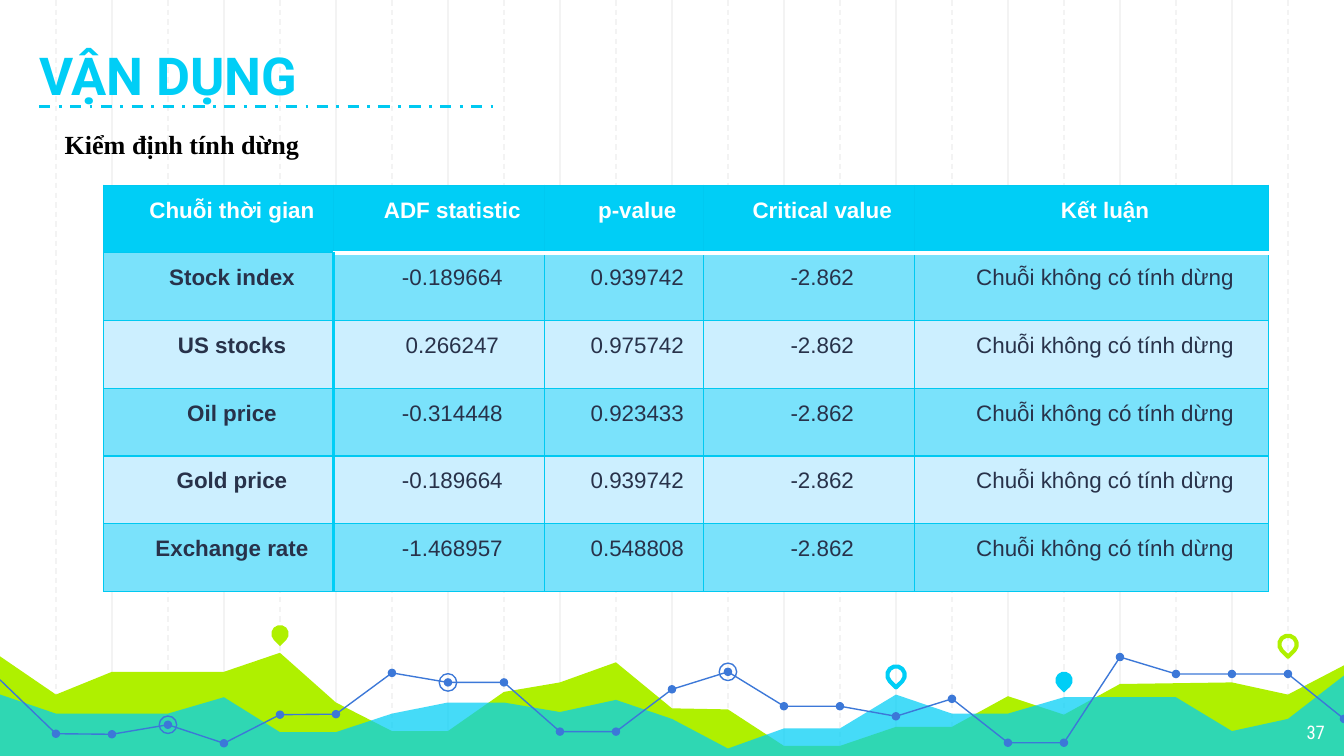
"""Build the stationarity test slide with its results table and chart-like footer."""
import lxml.etree
import pptx
import pptx.dml.color
import pptx.enum.dml
import pptx.enum.shapes
import pptx.enum.text
import pptx.oxml.ns
import pptx.util

Cm, Pt = pptx.util.Cm, pptx.util.Pt
qn = pptx.oxml.ns.qn
RGB = pptx.dml.color.RGBColor.from_string
SHAPE = pptx.enum.shapes.MSO_SHAPE
DASH = pptx.enum.dml.MSO_LINE
ALIGN = pptx.enum.text.PP_ALIGN
ANCHOR = pptx.enum.text.MSO_ANCHOR
AUTO_SIZE = pptx.enum.text.MSO_AUTO_SIZE

THEME = {
    "cyan": "00CEF6", "rule": "00C9F1", "lime": "AFF000", "blue": "3C78D8",
    "grid": "F3F3F3", "white": "FFFFFF", "ink": "28324A", "black": "000000",
    "band": "7AE2FB", "pale": "CCEFFF",
    "title": {"name": "Roboto", "size": Pt(28), "bold": True},
    "subtitle": {"name": "Times New Roman", "size": Pt(14), "bold": True},
    "number": {"name": "Roboto Condensed", "size": Pt(10), "bold": False},
    "strong": {"name": "Arial", "size": Pt(12), "bold": True},
    "body": {"name": "Arial", "size": Pt(12), "bold": False},
}
WIDTH, HEIGHT, COLUMNS = 25.4, 14.29, 24
STEP = WIDTH / COLUMNS


def paint(shape, fill=None, outline=None, weight=0.75):
    shape.shadow.inherit = False
    for part, color in ((shape.fill, fill), (shape.line.fill, outline)):
        if color:
            part.solid()
            part.fore_color.rgb = RGB(THEME[color])
        else:
            part.background()
    if outline:
        shape.line.width = Pt(weight)


def write(holder, paragraph, text, font, color, holder_format, paragraph_format):
    run = paragraph.add_run()
    run.text = text
    run.font.color.rgb = RGB(THEME[color])
    for target, values in ((holder, holder_format), (paragraph, paragraph_format), (run.font, THEME[font])):
        for name, value in values.items():
            setattr(target, name, value)


presentation = pptx.Presentation()
presentation.slide_width, presentation.slide_height = Cm(WIDTH), Cm(HEIGHT)
slide = presentation.slides.add_slide(presentation.slide_layouts[6])
shapes = slide.shapes

rules = [
    (STEP * i, 0, STEP * i, 14.35, "grid", 0.75, DASH.DASH if i % 2 else DASH.SOLID)
    for i in range(1, COLUMNS)
]
rules.append((0.74, 2.01, 9.42, 2.01, "rule", 1.5, DASH.DASH_DOT))
for left, top, right, bottom, color, weight, dash in rules:
    connector = shapes.add_connector(
        pptx.enum.shapes.MSO_CONNECTOR.STRAIGHT, Cm(left), Cm(top), Cm(right), Cm(bottom))
    connector.line.color.rgb = RGB(THEME[color])
    connector.line.width = Pt(weight)
    connector.line.dash_style = dash
    lxml.etree.SubElement(connector._element.spPr, qn("a:effectLst"))

lime_area = [
    (-0.05, 12.37), (1, 13.13), (2, 12.7), (4, 12.7), (5, 12.34), (6, 13.28), (7, 13.82),
    (8, 13.82), (9, 13.08), (10, 12.9), (11, 12.52), (12, 13.39), (13, 13.41), (14, 14.1),
    (15, 14.1), (16, 13.74), (17, 13.74), (18, 13.16), (19, 13.51), (20, 12.93), (22, 12.9),
    (23, 13.13), (24.05, 12.55), (24.05, 14.34), (-0.05, 14.34),
]
cyan_area = [
    (-0.05, 13.11), (1, 13.49), (3, 13.49), (4, 13.18), (5, 13.84), (6, 13.84), (7, 13.49),
    (8, 13.28), (9, 13.28), (10, 13.46), (11, 13.23), (12, 13.59), (13, 14.15), (14, 13.77),
    (15, 13.77), (16, 13.13), (17, 13.49), (18, 13.49), (19, 13.18), (21, 13.18), (22, 13.82),
    (23, 13.59), (24.05, 12.73), (24.05, 14.34), (-0.05, 14.34),
]
trend = list(enumerate([
    12.85, 13.87, 13.88, 13.7, 14.05, 13.51, 13.5, 12.72, 12.9, 12.9, 13.83, 13.83, 13.03,
    12.7, 13.35, 13.35, 13.54, 13.21, 14.04, 14.04, 12.42, 12.74, 12.74, 12.74, 13.59,
]))
outlines = [
    (lime_area, "lime", None), (cyan_area, "cyan", None),
    (trend[:12], None, "blue"), (trend[11:21], None, "blue"), (trend[20:], None, "blue"),
]
for points, fill, outline in outlines:
    corners = [(Cm(STEP * x), Cm(y)) for x, y in points]
    builder = shapes.build_freeform(*corners[0], scale=1.0)
    builder.add_line_segments(corners[1:], close=fill is not None)
    shape = builder.convert_to_shape()
    paint(shape, fill, outline)
    if points is cyan_area:
        color_element = shape._element.spPr.find(qn("a:solidFill"))[0]
        lxml.etree.SubElement(color_element, qn("a:alpha"), val="73000")

markers = [(SHAPE.OVAL, x, y, 0.16, "blue", None, 0.75) for x, y in trend[1:]]
markers += [(SHAPE.OVAL, *trend[i], 0.33, None, "blue", 0.75) for i in (3, 8, 13)]
markers += [
    (SHAPE.TEAR, 5, 11.98, 0.33, "lime", None, 0.75),
    (SHAPE.TEAR, 16, 12.76, 0.33, None, "cyan", 2.25),
    (SHAPE.TEAR, 19, 12.86, 0.33, "cyan", None, 0.75),
    (SHAPE.TEAR, 23, 12.18, 0.33, None, "lime", 2.25),
]
for kind, x, y, size, fill, outline, weight in markers:
    marker = shapes.add_shape(
        kind, Cm(STEP * x - size / 2), Cm(y - size / 2), Cm(size), Cm(size))
    paint(marker, fill, outline, weight)
    if kind == SHAPE.TEAR:
        marker.rotation = 135

MARGINS = ("margin_left", "margin_top", "margin_right", "margin_bottom")
texts = [
    ("37", (23.77, 13.41, 1.52, 0.89), "number", "white",
     dict.fromkeys(MARGINS, Cm(0.25)), {"alignment": ALIGN.RIGHT}),
    ("VẬN DỤNG", (0.74, 0.53, 16.33, 1.47), "title", "cyan",
     {**dict.fromkeys(MARGINS, 0), "vertical_anchor": ANCHOR.BOTTOM}, {}),
    ("Kiểm định tính dừng", (-0.3, 2.01, 12.83, 1.04), "subtitle", "black",
     {"auto_size": AUTO_SIZE.SHAPE_TO_FIT_TEXT},
     {"level": 1, "line_spacing": 1.5, "space_before": Pt(10)}),
]
for text, box, font, color, frame_format, paragraph_format in texts:
    frame = shapes.add_textbox(*map(Cm, box)).text_frame
    paragraph = frame.paragraphs[0]
    write(frame, paragraph, text, font, color, {"word_wrap": True, **frame_format}, paragraph_format)
    if font == "subtitle":
        paragraph._p.get_or_add_pPr().set("marL", str(Cm(1.27)))

verdict = "Chuỗi không có tính dừng"
rows = [
    ("Chuỗi thời gian", "ADF statistic", "p-value", "Critical value", "Kết luận"),
    ("Stock index", "-0.189664", "0.939742", "-2.862", verdict),
    ("US stocks", "0.266247", "0.975742", "-2.862", verdict),
    ("Oil price", "-0.314448", "0.923433", "-2.862", verdict),
    ("Gold price", "-0.189664", "0.939742", "-2.862", verdict),
    ("Exchange rate", "-1.468957", "0.548808", "-2.862", verdict),
]
column_widths, row_height = (4.34, 3.99, 3, 3.99, 6.7), 1.28
table = shapes.add_table(
    len(rows), len(column_widths), Cm(1.96), Cm(3.5),
    Cm(sum(column_widths)), Cm(row_height * len(rows))).table
for column, width in zip(table.columns, column_widths):
    column.width = Cm(width)
for row in table.rows:
    row.height = Cm(row_height)

cell_format = dict(zip(MARGINS, (Cm(0.1), 0, Cm(0.1), 0)))
for i, values in enumerate(rows):
    for j, text in enumerate(values):
        cell = table.cell(i, j)
        cell.fill.solid()
        cell.fill.fore_color.rgb = RGB(THEME["cyan" if i == 0 else "band" if i % 2 else "pale"])
        paragraph = cell.text_frame.paragraphs[0]
        write(
            cell, paragraph, text, "strong" if i == 0 or j == 0 else "body", "ink" if i else "white",
            cell_format, {"alignment": ALIGN.CENTER, "line_spacing": 1.5})
        for name, length in (("marL", 0), ("indent", Cm(0.51))):
            paragraph._p.get_or_add_pPr().set(name, str(length))

        borders = dict.fromkeys(("lnL", "lnR", "lnT", "lnB"), ("rule", 0.75))
        if i < 2 and j > 0:
            borders["lnT" if i else "lnB"] = ("white", 2)
        if i > 0 and j < 2:
            borders["lnL" if j else "lnR"] = ("cyan", 2)
        for position, (side, (color, weight)) in enumerate(borders.items()):
            border = lxml.etree.Element(qn(f"a:{side}"), w=str(Pt(weight)))
            fill = lxml.etree.SubElement(border, qn("a:solidFill"))
            lxml.etree.SubElement(fill, qn("a:srgbClr"), val=THEME[color])
            cell._tc.get_or_add_tcPr().insert(position, border)

presentation.save("out.pptx")
